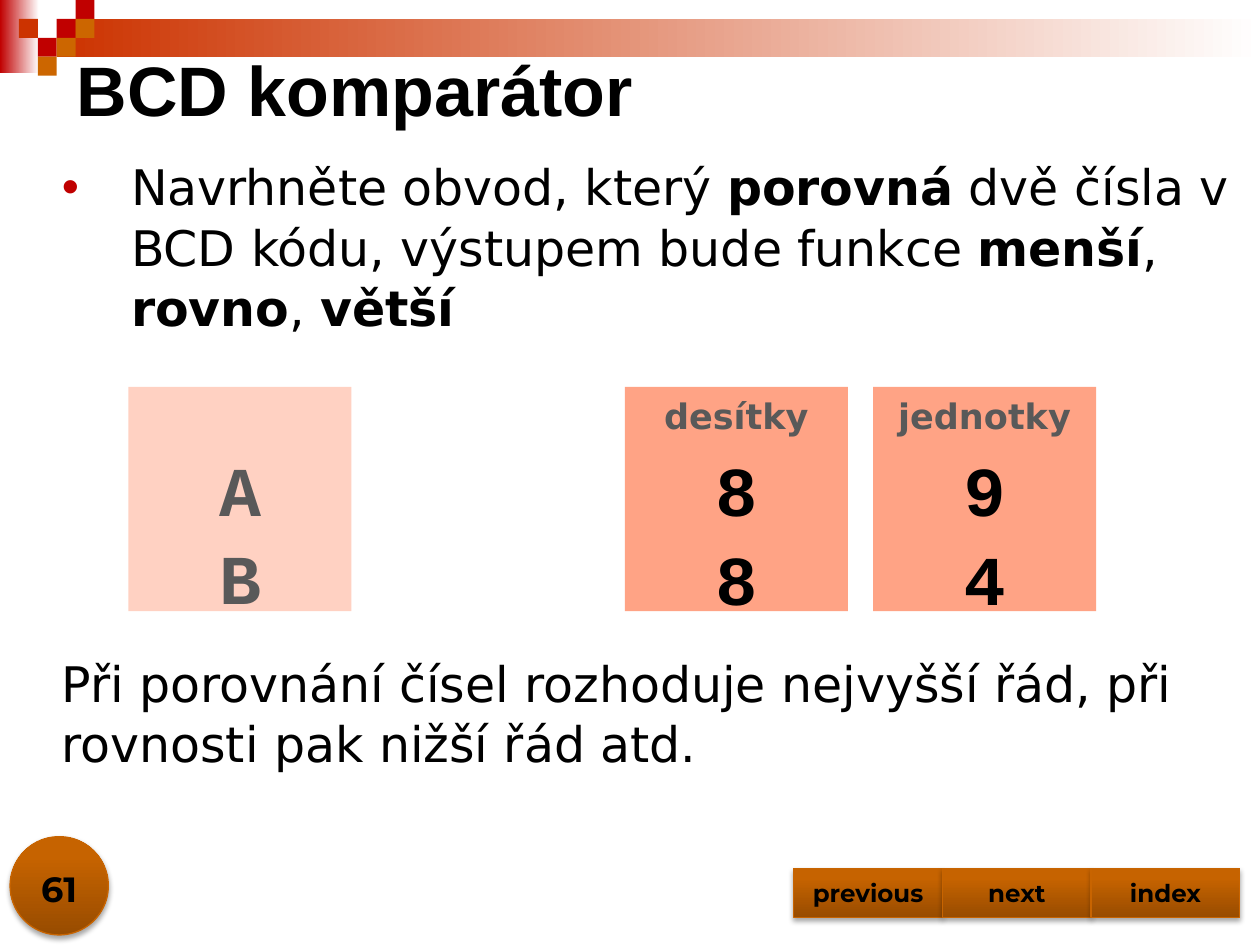
from lxml.etree import SubElement
from pptx import Presentation
from pptx.dml.color import RGBColor as Rgb
from pptx.enum.shapes import MSO_SHAPE as Preset
from pptx.enum.text import MSO_ANCHOR as Anchor, MSO_AUTO_SIZE as AutoSize, PP_ALIGN as Align
from pptx.oxml import parse_xml
from pptx.oxml.ns import nsdecls, qn
from pptx.util import Inches, Pt

COLORS = {
    "white": "FFFFFF", "black": "000000", "gray": "595959",
    "red": "C00000", "rust": "CC3300", "orange": "CC6600",
    "salmon": "FFA385", "pale": "FFD1C2",
    "brown": "984C00", "amber": "C66300", "amber_end": "C76300", "rim": "C86400",
}


def write(paragraph, text, size=28, font="DejaVu Sans", color="black", bold=False,
          align=Align.LEFT, before=0, spacing=1.0):
    paragraph.alignment = align
    paragraph.space_before = Pt(before)
    paragraph.line_spacing = spacing
    for index, part in enumerate(text.split("*")):
        if part:
            run = paragraph.add_run()
            run.text = part
            run.font.size = Pt(size)
            run.font.name = font
            run.font.bold = bold or index % 2 == 1
            run.font.color.rgb = Rgb.from_string(COLORS[color])


def draw(preset, left, top, width, height, stops, angle=0, raised=False):
    shape = slide.shapes.add_shape(preset, Inches(left), Inches(top), Inches(width), Inches(height))
    shape.shadow.inherit = False
    if len(stops) == 1:
        shape.fill.solid()
        shape.fill.fore_color.rgb = Rgb.from_string(COLORS[stops[0][1]])
    else:
        marks = "".join(f'<a:gs pos="{place * 1000}"><a:srgbClr val="{COLORS[color]}"/></a:gs>'
                        for place, color in stops)
        shape._element.spPr.insert(2, parse_xml(
            f'<a:gradFill {nsdecls("a")} rotWithShape="1"><a:gsLst>{marks}</a:gsLst>'
            f'<a:lin ang="{angle * 60000}" scaled="0"/></a:gradFill>'))
    if raised:
        shape.line.color.rgb = Rgb.from_string(COLORS["rim"])
        shape.line.width = Pt(0.75)
        effects = shape._element.spPr.find(qn("a:effectLst"))
        effects.append(parse_xml(
            f'<a:outerShdw {nsdecls("a")} blurRad="{Pt(3.1)}" dist="{Pt(1.8)}" dir="5400000" rotWithShape="0">'
            f'<a:srgbClr val="{COLORS["black"]}"><a:alpha val="35000"/></a:srgbClr></a:outerShdw>'))
    else:
        shape.line.fill.background()
    return shape


prs = Presentation()
prs.slide_width, prs.slide_height = Inches(10), Inches(7.5)
slide = prs.slides.add_slide(prs.slide_layouts[1])

UNIT = 0.15
draw(Preset.RECTANGLE, 0, 0, 0.31, 0.58, [(0, "red"), (100, "white")])
draw(Preset.RECTANGLE, 3 * UNIT, UNIT, 10 - 3 * UNIT, 2 * UNIT, [(0, "rust"), (100, "white")])
for column, row, color in [(3, 1, "red"), (4, 0, "red"), (4, 1, "orange"), (2, 2, "red"),
                           (1, 1, "rust"), (3, 2, "orange"), (2, 3, "orange")]:
    draw(Preset.RECTANGLE, column * UNIT, row * UNIT, UNIT, UNIT, [(0, color)])

BRONZE = [(0, "brown"), (80, "amber"), (100, "amber_end")]
draw(Preset.OVAL, 0.08, 6.64, 0.78, 0.78, BRONZE, angle=270, raised=True)
number = slide.shapes.add_textbox(0, Inches(6.77), Inches(0.94), Inches(0.5)).text_frame
number.word_wrap = True
number.vertical_anchor = Anchor.BOTTOM
write(number.paragraphs[0], "61", size=20, font="Montserrat", bold=True, align=Align.CENTER)

BUTTON_WIDTH = 1.18
for column, label in enumerate(["previous", "next", "index"]):
    button = draw(Preset.ACTION_BUTTON_CUSTOM, 6.3 + column * BUTTON_WIDTH, 6.89, BUTTON_WIDTH, 0.39,
                  BRONZE, angle=270, raised=True)
    button.text_frame.vertical_anchor = Anchor.MIDDLE
    write(button.text_frame.paragraphs[0], label, size=14, font="Montserrat", bold=True, align=Align.CENTER)

title = slide.shapes.title
title.left, title.top, title.width, title.height = map(Inches, (0.51, 0.31, 8.5, 0.79))
title.text_frame.auto_size = AutoSize.NONE
title.text_frame.vertical_anchor = Anchor.MIDDLE
write(title.text_frame.paragraphs[0], "BCD komparátor", size=40, font="Arial", bold=True)

task = slide.placeholders[1]
task.left, task.top, task.width, task.height = map(Inches, (0.39, 1.18, 9.61, 1.51))
task.text_frame.auto_size = AutoSize.NONE
assignment = task.text_frame.paragraphs[0]
write(assignment, "Navrhněte obvod, který *porovná* dvě čísla v BCD kódu, "
                  "výstupem bude funkce *menší*, *rovno*, *větší*", spacing=1.03)
bullet = assignment._p.get_or_add_pPr()
bullet.set("marL", str(Inches(0.55)))
bullet.set("indent", str(-Inches(0.55)))
SubElement(SubElement(bullet, qn("a:buClr")), qn("a:srgbClr")).set("val", COLORS["red"])
SubElement(bullet, qn("a:buFont")).set("typeface", "Arial")
SubElement(bullet, qn("a:buChar")).set("char", "•")

CARD, PITCH = 1.77, 1.97
for column, fill, heading, values, ink in [(2, "salmon", "desítky", "88", "black"),
                                           (3, "salmon", "jednotky", "94", "black"),
                                           (0, "pale", "", "AB", "gray")]:
    card = draw(Preset.RECTANGLE, 1.02 + column * PITCH, 3.07, CARD, 1.78, [(0, fill)]).text_frame
    card.vertical_anchor = Anchor.TOP
    card.word_wrap = True
    if heading:
        write(card.paragraphs[0], heading, size=20, color="gray", bold=True, align=Align.CENTER, spacing=1.03)
    else:
        card.margin_top = Inches(0.43)
    for row, value in enumerate(values):
        line = card.add_paragraph() if heading or row else card.paragraphs[0]
        write(line, value, size=40, font="Courier New", color=ink, bold=True, align=Align.CENTER,
              before=3 if heading and row == 0 else 0, spacing=1.06)

rule = slide.shapes.add_textbox(Inches(0.39), Inches(5.12), Inches(9.61), Inches(1.04)).text_frame
rule.word_wrap = True
write(rule.paragraphs[0], "Při porovnání čísel rozhoduje nejvyšší řád, při rovnosti pak nižší řád atd.",
      spacing=1.03)

prs.save("out.pptx")
